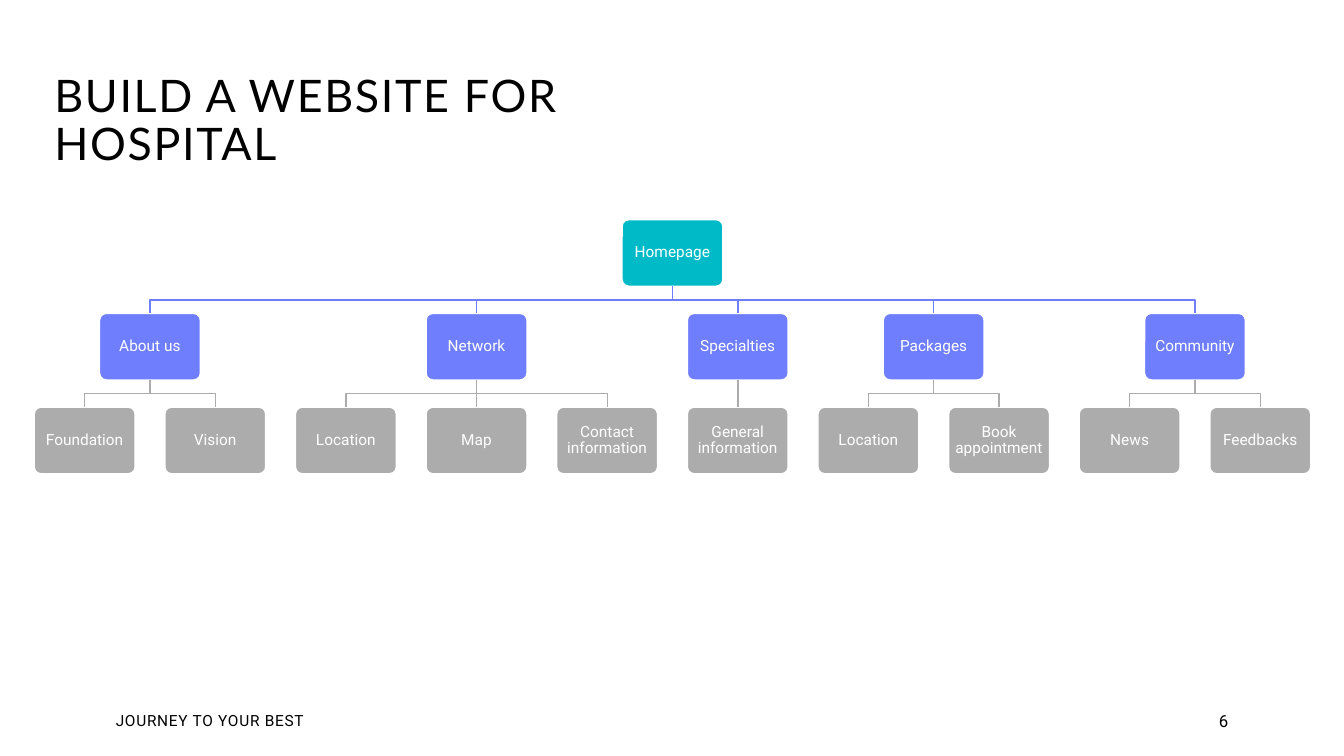
from dataclasses import dataclass

from lxml import etree
from pptx import Presentation
from pptx.dml.color import RGBColor
from pptx.enum.shapes import MSO_CONNECTOR, MSO_SHAPE
from pptx.enum.text import MSO_ANCHOR, PP_ALIGN
from pptx.oxml.ns import qn
from pptx.shapes.autoshape import Shape
from pptx.slide import Slide
from pptx.util import Inches, Pt

ROUNDED = MSO_SHAPE.ROUNDED_RECTANGLE
STRAIGHT = MSO_CONNECTOR.STRAIGHT
MIDDLE = MSO_ANCHOR.MIDDLE
LEFT, CENTER, RIGHT = PP_ALIGN.LEFT, PP_ALIGN.CENTER, PP_ALIGN.RIGHT
TOP_SIDE, BOTTOM_SIDE = 0, 2


@dataclass(frozen=True)
class Theme:
    home: str = "00BAC7"
    section: str = "6F7EFD"
    page: str = "ACACAC"
    white: str = "FFFFFF"
    black: str = "000000"
    heading_font: str = "Lato"
    body_font: str = "Roboto"
    title_size: float = 32
    number_size: float = 12
    body_size: float = 11
    line_width: float = 1


@dataclass(frozen=True)
class Section:
    name: str
    pages: tuple[str, ...]


@dataclass(frozen=True)
class Label:
    text: str
    left: float
    top: float
    width: float
    height: float
    font: str
    size: float
    align: PP_ALIGN = LEFT
    tracking: float = 0
    line_spacing: float = 1.0


THEME = Theme()
BOX_WIDTH, BOX_HEIGHT, BOX_INSET = 1.0, 0.66, 0.02
HOME_TOP, LEVEL_STEP = 2.18, 0.93
FIRST_CENTER, LAST_CENTER = 0.84, 12.5

SECTIONS = (
    Section("About us", ("Foundation", "Vision")),
    Section("Network", ("Location", "Map", "Contact information")),
    Section("Specialties", ("General information",)),
    Section("Packages", ("Location", "Book appointment")),
    Section("Community", ("News", "Feedbacks")),
)

LABELS = (
    Label("BUILD A WEBSITE FOR HOSPITAL", 0.44, 0.78, 6.67, 0.86,
          THEME.heading_font, THEME.title_size, tracking=1.2, line_spacing=0.9),
    Label("JOURNEY TO YOUR BEST", 1.05, 6.95, 3.74, 0.4,
          THEME.body_font, THEME.body_size, tracking=0.5),
    Label("6", 11.26, 6.95, 1.02, 0.4,
          THEME.body_font, THEME.number_size, align=RIGHT),
)


def write_text(sp: Shape, text: str, font: str, size: float, color: str,
               align: PP_ALIGN, line_spacing: float, tracking: float = 0) -> None:
    tf = sp.text_frame
    tf.word_wrap = True
    tf.vertical_anchor = MIDDLE
    p = tf.paragraphs[0]
    p.text = text
    p.alignment = align
    p.line_spacing = line_spacing
    r = p.runs[0]
    r.font.name = font
    r.font.size = Pt(size)
    r.font.color.rgb = RGBColor.from_string(color)
    if tracking:
        r._r.get_or_add_rPr().set("spc", str(round(tracking * 100)))


def add_label(s: Slide, label: Label) -> None:
    sp = s.shapes.add_textbox(Inches(label.left), Inches(label.top),
                              Inches(label.width), Inches(label.height))
    write_text(sp, label.text, label.font, label.size, THEME.black,
               label.align, label.line_spacing, label.tracking)


def add_box(s: Slide, text: str, center: float, level: int, fill: str) -> Shape:
    sp = s.shapes.add_shape(ROUNDED, Inches(center - BOX_WIDTH / 2),
                            Inches(HOME_TOP + level * LEVEL_STEP),
                            Inches(BOX_WIDTH), Inches(BOX_HEIGHT))
    sp.adjustments[0] = 0.1
    sp.shadow.inherit = False
    sp.fill.solid()
    sp.fill.fore_color.rgb = RGBColor.from_string(fill)
    sp.line.color.rgb = RGBColor.from_string(THEME.white)
    sp.line.width = Pt(THEME.line_width)
    tf = sp.text_frame
    tf.margin_left = tf.margin_right = tf.margin_top = tf.margin_bottom = Inches(BOX_INSET)
    write_text(sp, text, THEME.body_font, THEME.body_size, THEME.white, CENTER, 0.9)
    return sp


def add_link(s: Slide, parent: Shape, child: Shape, color: str) -> None:
    x1, y1 = parent.left + parent.width // 2, parent.top + parent.height
    x2, y2 = child.left + child.width // 2, child.top
    if abs(x2 - x1) < Inches(0.01):
        link = s.shapes.add_connector(STRAIGHT, x1, y1, x2, y2)
        link.begin_connect(parent, BOTTOM_SIDE)
        link.end_connect(child, TOP_SIDE)
        etree.SubElement(link._element.spPr, qn("a:effectLst"))
    else:
        middle = (y1 + y2) // 2
        builder = s.shapes.build_freeform(x1, y1)
        builder.add_line_segments([(x1, middle), (x2, middle), (x2, y2)], close=False)
        link = builder.convert_to_shape()
        link.fill.background()
        link.shadow.inherit = False
    link.line.color.rgb = RGBColor.from_string(color)
    link.line.width = Pt(THEME.line_width)


def add_site_map(s: Slide) -> None:
    page_count = sum(len(section.pages) for section in SECTIONS)
    step = (LAST_CENTER - FIRST_CENTER) / (page_count - 1)
    centers = [FIRST_CENTER + i * step for i in range(page_count)]
    home = add_box(s, "Homepage", (FIRST_CENTER + LAST_CENTER) / 2, 0, THEME.home)
    start = 0
    for section in SECTIONS:
        end = start + len(section.pages)
        middle = (centers[start] + centers[end - 1]) / 2
        parent = add_box(s, section.name, middle, 1, THEME.section)
        add_link(s, home, parent, THEME.section)
        for page, center in zip(section.pages, centers[start:end]):
            child = add_box(s, page, center, 2, THEME.page)
            add_link(s, parent, child, THEME.page)
        start = end


def main() -> None:
    prs = Presentation()
    prs.slide_width, prs.slide_height = Inches(13.33), Inches(7.5)
    s = prs.slides.add_slide(prs.slide_layouts[6])
    for label in LABELS:
        add_label(s, label)
    add_site_map(s)
    prs.save("out.pptx")


if __name__ == "__main__":
    main()
